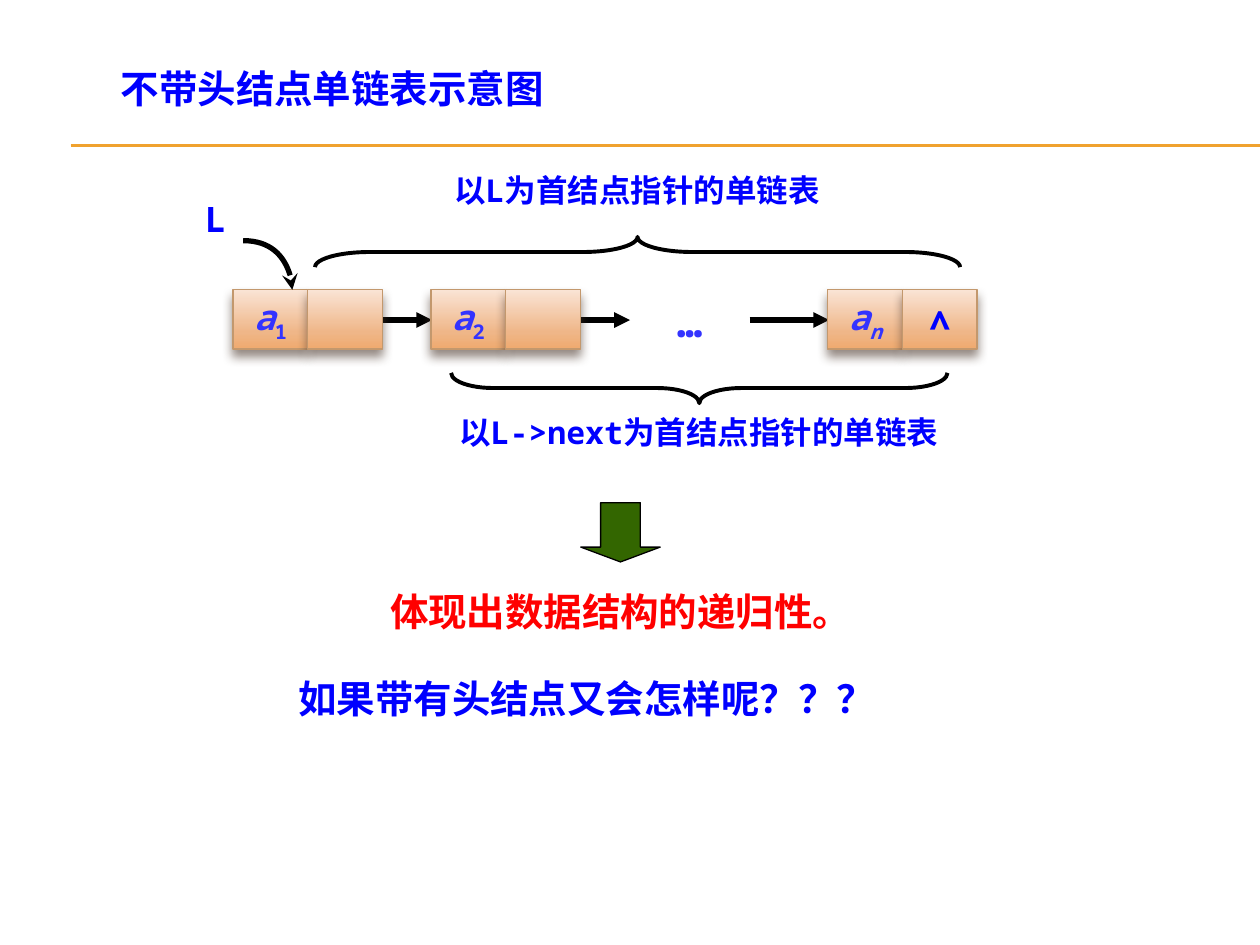
from lxml.etree import SubElement, fromstring
from pptx import Presentation
from pptx.dml.color import RGBColor
from pptx.enum.shapes import MSO_CONNECTOR, MSO_SHAPE
from pptx.enum.text import MSO_ANCHOR, PP_ALIGN
from pptx.oxml.ns import nsdecls, qn
from pptx.util import Inches, Pt

rgb = RGBColor.from_string
BLUE, NODE_BLUE, RED, BLACK = "0000FF", "3333FF", "FF0000", "000000"

prs = Presentation()
prs.slide_width, prs.slide_height = Inches(10), Inches(7.5)
slide = prs.slides.add_slide(prs.slide_layouts[6])
shapes = slide.shapes
UNIT = prs.slide_width / 100  # grid of 100 columns by 75 rows


def grid(*cells):
    return [round(c * UNIT) for c in cells]


def write(s, runs, size, color, align=PP_ALIGN.CENTER):
    """Fill a shape with one bold paragraph; runs are (text, italic, baseline)."""
    p = s.text_frame.paragraphs[0]
    p.alignment = align
    p.font.name, p.font.size, p.font.bold = "Noto Sans Mono", Pt(size), True
    p.font.color.rgb = rgb(color)
    for text, italic, baseline in runs:
        r = p.add_run()
        r.text = text
        r.font.italic = italic
        if baseline:
            r.font._element.set("baseline", str(baseline))


# Double rule under the title, then the pointer arrows
NODE_TOP, NODE_H, CELL_W = 23, 4.7, 5.93
ARROW_Y, ARROW_W = 25.4, 6.3
rules = [(5.6, y, 100, y, "F0A22E", 0.75, None) for y in (11.5, 11.6)]
arrows = [(x, ARROW_Y, x + ARROW_W, ARROW_Y, BLACK, 3, "triangle")
          for x in (28, 43.7, 59.5)]
for x1, y1, x2, y2, color, width, tail in rules + arrows:
    s = shapes.add_connector(MSO_CONNECTOR.STRAIGHT, *grid(x1, y1, x2, y2))
    s.line.color.rgb, s.line.width = rgb(color), Pt(width)
    if tail:
        SubElement(s.line._get_or_add_ln(), qn("a:tailEnd"), type=tail)
    SubElement(s._element.spPr, qn("a:effectLst"))

# List nodes: a data cell and a pointer cell each
GRADIENT = f"""<a:gradFill {nsdecls('a')} rotWithShape="1"><a:gsLst>
<a:gs pos="0"><a:srgbClr val="FAE4D5"/></a:gs>
<a:gs pos="72000"><a:srgbClr val="EFB688"/></a:gs>
<a:gs pos="100000"><a:srgbClr val="EFAA6F"/></a:gs>
</a:gsLst><a:lin ang="5400000" scaled="0"/></a:gradFill>"""
SHADOW = f"""<a:effectLst {nsdecls('a')}>
<a:outerShdw blurRad="{Pt(6)}" dist="{Pt(4)}" dir="5400000" rotWithShape="0">
<a:srgbClr val="4E3B30"><a:alpha val="60000"/></a:srgbClr>
</a:outerShdw></a:effectLst>"""
nodes = [
    (18.5, [("a", True, 0), ("1", False, -25000)], []),
    (34.2, [("a", True, 0), ("2", False, -25000)], []),
    (65.7, [("a", True, 0), ("n", True, -25000)], [("∧", False, 0)]),
]
for left, data, pointer in nodes:
    for col, (runs, color) in enumerate([(data, NODE_BLUE), (pointer, BLUE)]):
        s = shapes.add_shape(MSO_SHAPE.RECTANGLE, *grid(
            left + col * CELL_W, NODE_TOP, CELL_W, NODE_H))
        s.line.color.rgb, s.line.width = rgb("C3986D"), Pt(0.79)
        spPr = s._element.spPr
        spPr.insert(2, fromstring(GRADIENT))
        spPr.append(fromstring(SHADOW))
        s.text_frame.word_wrap = False
        s.text_frame.vertical_anchor = MSO_ANCHOR.MIDDLE
        if runs:
            write(s, runs, 20, color)

# Curved arrow from L to the first node
x, y, side, bend = 19.3, 19.1, 3.9, 2.15
fb = shapes.build_freeform(*grid(x, y), scale=1.0)
fb.add_line_segments([grid(x + bend, y), grid(x + side, y + side - bend),
                      grid(x + side, y + side)], close=False)
s = fb.convert_to_shape()
s.shadow.inherit = False
s.fill.background()
s.line.color.rgb, s.line.width = rgb(BLACK), Pt(3)
SubElement(s.line._get_or_add_ln(), qn("a:tailEnd"), type="stealth")
# Turn the three segments into one Bezier curve
outline = next(s._element.iter(qn("a:path")))
segments = outline.findall(qn("a:lnTo"))
curve = SubElement(outline, qn("a:cubicBezTo"))
for segment in segments:
    curve.append(segment[0])
    outline.remove(segment)

# Braces over the whole list and under its tail, given before rotation
for left, top, length, angle, adj in [(54.3, 11.1, 39.4, 90, 1.39),
                                      (49.4, -5.6, 51.2, 270, 1.81)]:
    s = shapes.add_shape(MSO_SHAPE.RIGHT_BRACE, *grid(left, top, 2.4, length))
    s.rotation = angle
    s.adjustments[0] = adj
    s.shadow.inherit = False
    s.fill.background()
    s.line.color.rgb, s.line.width = rgb(BLACK), Pt(2.25)

# Block arrow to the conclusion
s = shapes.add_shape(MSO_SHAPE.DOWN_ARROW, *grid(46.1, 39.9, 6.3, 4.7))
s.adjustments[0], s.adjustments[1] = 0.5, 0.25
s.shadow.inherit = False
s.fill.solid()
s.fill.fore_color.rgb = rgb("336600")
s.line.color.rgb, s.line.width = rgb(BLACK), Pt(0.75)

# Title, labels and conclusions
LEFT, CENTER = PP_ALIGN.LEFT, PP_ALIGN.CENTER
labels = [
    ("不带头结点单链表示意图", 8.6, 4.7, 39.8, 4.7, 22, BLUE, LEFT),
    ("L", 15.3, 15.2, 4.7, 4.4, 20, BLUE, LEFT),
    ("…", 51.6, 23, 6.3, 5, 24, NODE_BLUE, CENTER),
    ("以L为首结点指针的单链表", 29.3, 13.1, 42.5, 4, 18, BLUE, CENTER),
    ("以L->next为首结点指针的单链表", 28.3, 32.3, 54.3, 4, 18, BLUE, CENTER),
    ("体现出数据结构的递归性。", 28, 46.2, 42.5, 4.7, 22, RED, CENTER),
    ("如果带有头结点又会怎样呢？？？", 22.7, 53.1, 52.6, 4.7, 22, BLUE, LEFT),
]
for text, left, top, width, height, size, color, align in labels:
    s = shapes.add_textbox(*grid(left, top, width, height))
    s.text_frame.word_wrap = True
    write(s, [(text, False, 0)], size, color, align)

prs.save("out.pptx")
